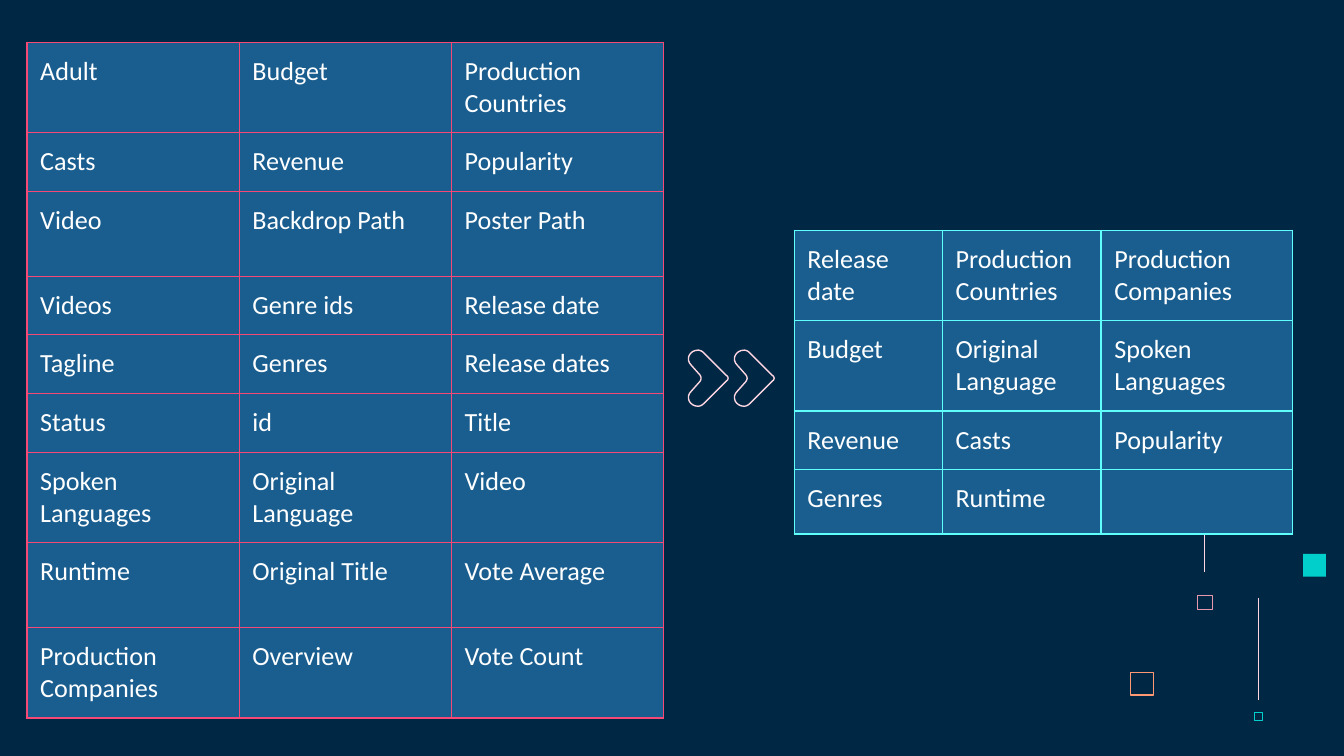
from dataclasses import dataclass

from lxml.etree import SubElement
from pptx import Presentation
from pptx.dml.color import RGBColor
from pptx.enum.shapes import MSO_CONNECTOR, MSO_SHAPE
from pptx.oxml.ns import qn
from pptx.util import Cm, Pt


@dataclass(frozen=True)
class Theme:
    background: str = "002845"
    cell: str = "1A5E8F"
    text: str = "FFFFFF"
    red: str = "F64975"
    cyan: str = "5EFFFD"
    teal: str = "00CFCC"
    rose: str = "E898AC"
    blush: str = "FFD6E1"
    orange: str = "FF9973"
    font: str = "Calibri"
    body: float = 14
    border: float = 0.75
    hairline: float = 0.5


theme = Theme()


def color(value):
    return RGBColor.from_string(value)


def add_border(cell, value):
    properties = cell._tc.get_or_add_tcPr()
    for side in ("lnL", "lnR", "lnT", "lnB"):
        line = SubElement(properties, qn(f"a:{side}"), w=str(Pt(theme.border)))
        fill = SubElement(line, qn("a:solidFill"))
        SubElement(fill, qn("a:srgbClr"), val=value)


presentation = Presentation()
presentation.slide_width = Cm(25.4)
presentation.slide_height = Cm(14.29)
slide = presentation.slides.add_slide(presentation.slide_layouts[6])
slide.background.fill.solid()
slide.background.fill.fore_color.rgb = color(theme.background)

squares = [
    (22.63, 11.25, 0.28, None, theme.rose, theme.hairline),
    (23.7, 13.46, 0.16, None, theme.teal, theme.hairline),
    (21.37, 12.71, 0.43, None, theme.orange, theme.border),
    (24.63, 10.47, 0.43, theme.teal, None, None),
]
for left, top, size, fill, outline, width in squares:
    square = slide.shapes.add_shape(
        MSO_SHAPE.RECTANGLE, Cm(left), Cm(top), Cm(size), Cm(size))
    square.shadow.inherit = False
    if fill:
        square.fill.solid()
        square.fill.fore_color.rgb = color(fill)
        square.line.fill.background()
    else:
        square.fill.background()
        square.line.color.rgb = color(outline)
        square.line.width = Pt(width)

for left, top, bottom in [(22.77, 8.36, 10.82), (23.78, 11.3, 13.23)]:
    stem = slide.shapes.add_connector(
        MSO_CONNECTOR.STRAIGHT, Cm(left), Cm(top), Cm(left), Cm(bottom))
    stem.line.color.rgb = color(theme.blush)
    stem.line.width = Pt(theme.hairline)
    SubElement(stem._element.spPr, qn("a:effectLst"))

all_fields = [
    ["Adult", "Budget", "Production\nCountries"],
    ["Casts", "Revenue", "Popularity"],
    ["Video", "Backdrop Path", "Poster Path"],
    ["Videos", "Genre ids", "Release date"],
    ["Tagline", "Genres", "Release dates"],
    ["Status", "id", "Title"],
    ["Spoken\nLanguages", "Original Language", "Video"],
    ["Runtime", "Original Title", "Vote Average"],
    ["Production Companies", "Overview", "Vote Count"],
]
kept_fields = [
    ["Release date", "Production\nCountries", "Production Companies"],
    ["Budget", "Original Language", "Spoken\nLanguages"],
    ["Revenue", "Casts", "Popularity"],
    ["Genres", "Runtime", ""],
]
single, spaced, double = 1.11, 1.6, 1.71
tables = [
    (0.51, 0.8, [4.01] * 3,
     [double, single, spaced, single, single, single, double, spaced, double],
     all_fields, theme.red),
    (15.01, 4.35, [2.8, 3, 3.62], [double, double, single, 1.21],
     kept_fields, theme.cyan),
]
for left, top, widths, heights, fields, border in tables:
    table = slide.shapes.add_table(
        len(heights), len(widths), Cm(left), Cm(top),
        Cm(sum(widths)), Cm(sum(heights))).table
    table.first_row = False
    table.horz_banding = False
    for column, width in zip(table.columns, widths):
        column.width = Cm(width)
    for row, height, texts in zip(table.rows, heights, fields):
        row.height = Cm(height)
        for cell, text in zip(row.cells, texts):
            cell.margin_left = cell.margin_right = Cm(0.25)
            cell.margin_top = cell.margin_bottom = Cm(0.25)
            add_border(cell, border)
            cell.fill.solid()
            cell.fill.fore_color.rgb = color(theme.cell)
            for index, words in enumerate(text.split("\n")):
                frame = cell.text_frame
                paragraph = frame.add_paragraph() if index else frame.paragraphs[0]
                run = paragraph.add_run()
                run.text = words
                run.font.name = theme.font
                run.font.size = Pt(theme.body)
                run.font.color.rgb = color(theme.text)

chevron_middle = 0.53
chevron_curves = [
    [(0.31, 0.53), (0.31, 0.51), (0.3, 0.49), (0.29, 0.47)],
    [(0.13, 0.29), (0, 0.17), (0.1, 0), (0.25, 0)],
    [(0.25, 0), (0.29, 0), (0.33, 0.02), (0.36, 0.05)],
    [(0.79, 0.48), (0.81, 0.49), (0.82, 0.51), (0.82, 0.53)],
]
steps = 8
upper_half = []
for curve in chevron_curves:
    for step in range(steps + 1):
        t = step / steps
        weights = [(1 - t) ** 3, 3 * t * (1 - t) ** 2, 3 * t ** 2 * (1 - t), t ** 3]
        upper_half.append(tuple(
            sum(weight * point[axis] for weight, point in zip(weights, curve))
            for axis in (0, 1)))
lower_half = [(x, 2 * chevron_middle - y) for x, y in reversed(upper_half)]

for left in (12.94, 13.81):
    outline = [(Cm(left + x), Cm(6.62 + y)) for x, y in upper_half + lower_half]
    builder = slide.shapes.build_freeform(*outline[0])
    builder.add_line_segments(outline[1:], close=True)
    chevron = builder.convert_to_shape()
    chevron.shadow.inherit = False
    chevron.fill.background()
    chevron.line.color.rgb = color(theme.blush)
    chevron.line.width = Pt(theme.border)

presentation.save("out.pptx")
